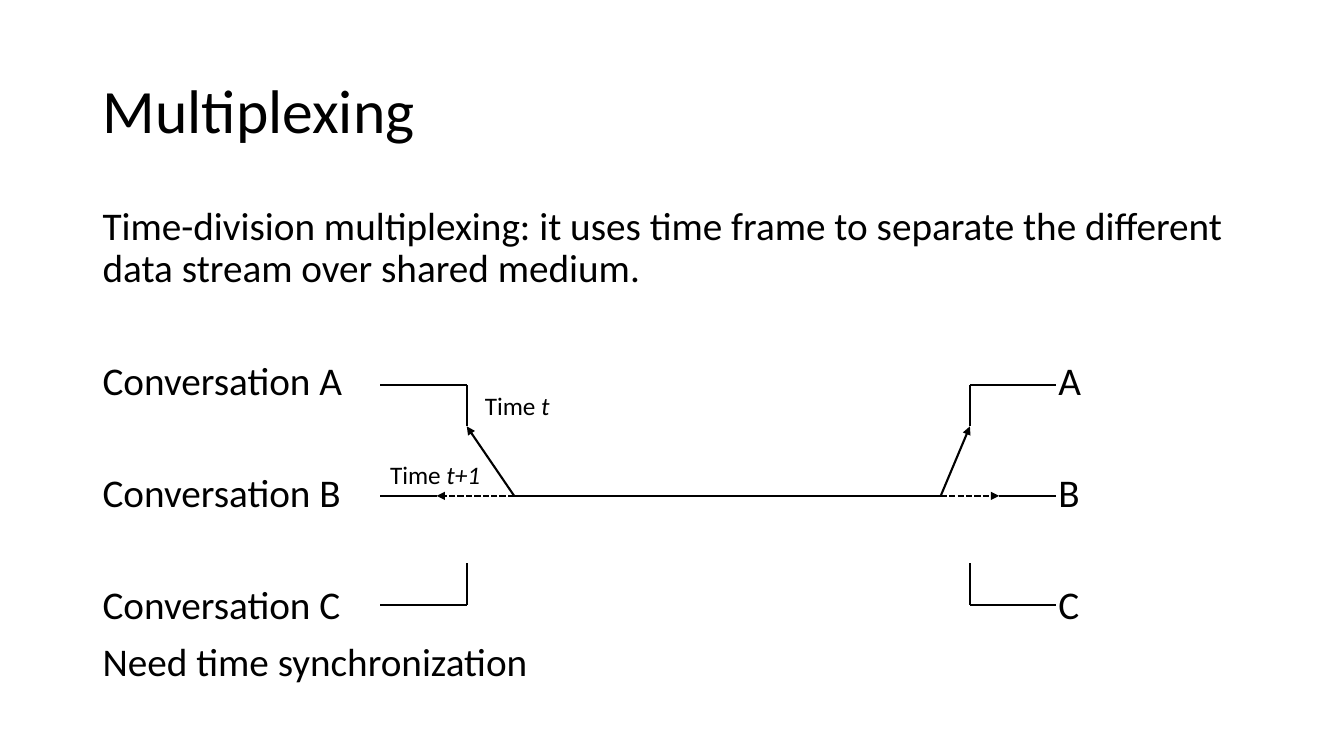
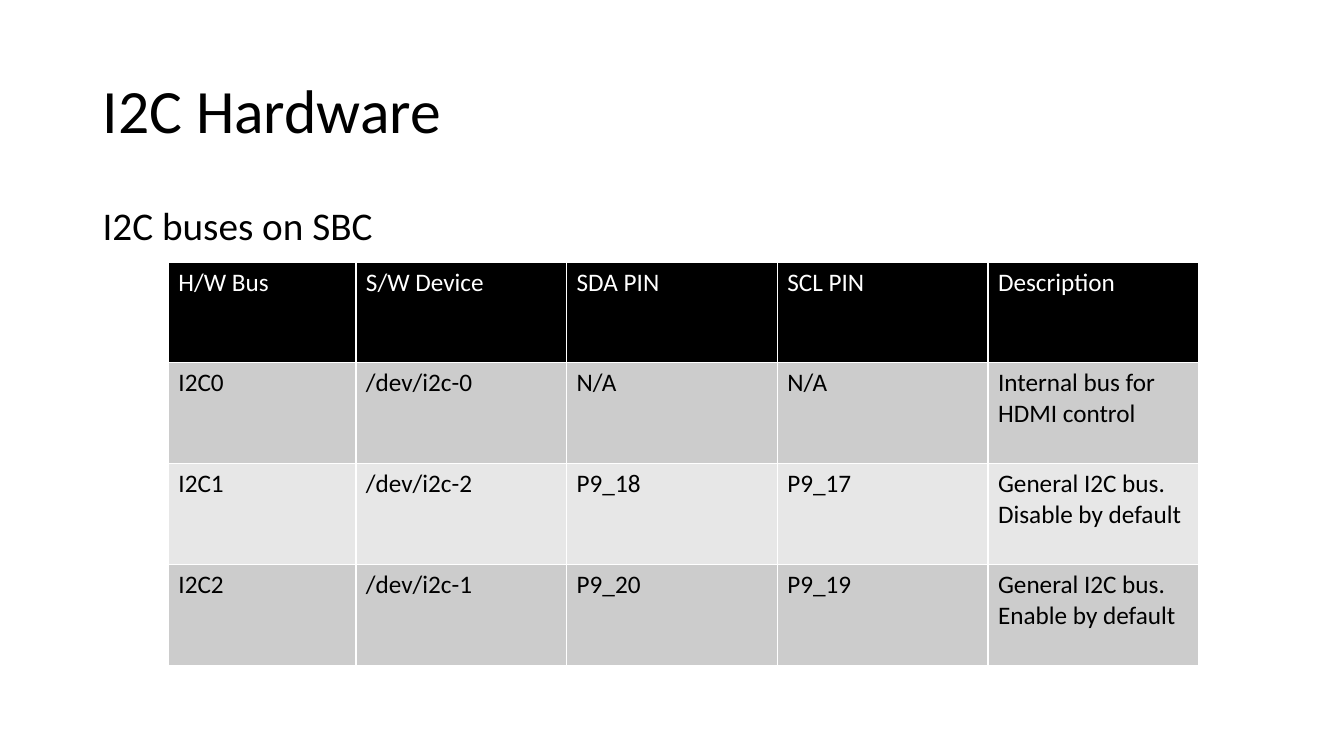
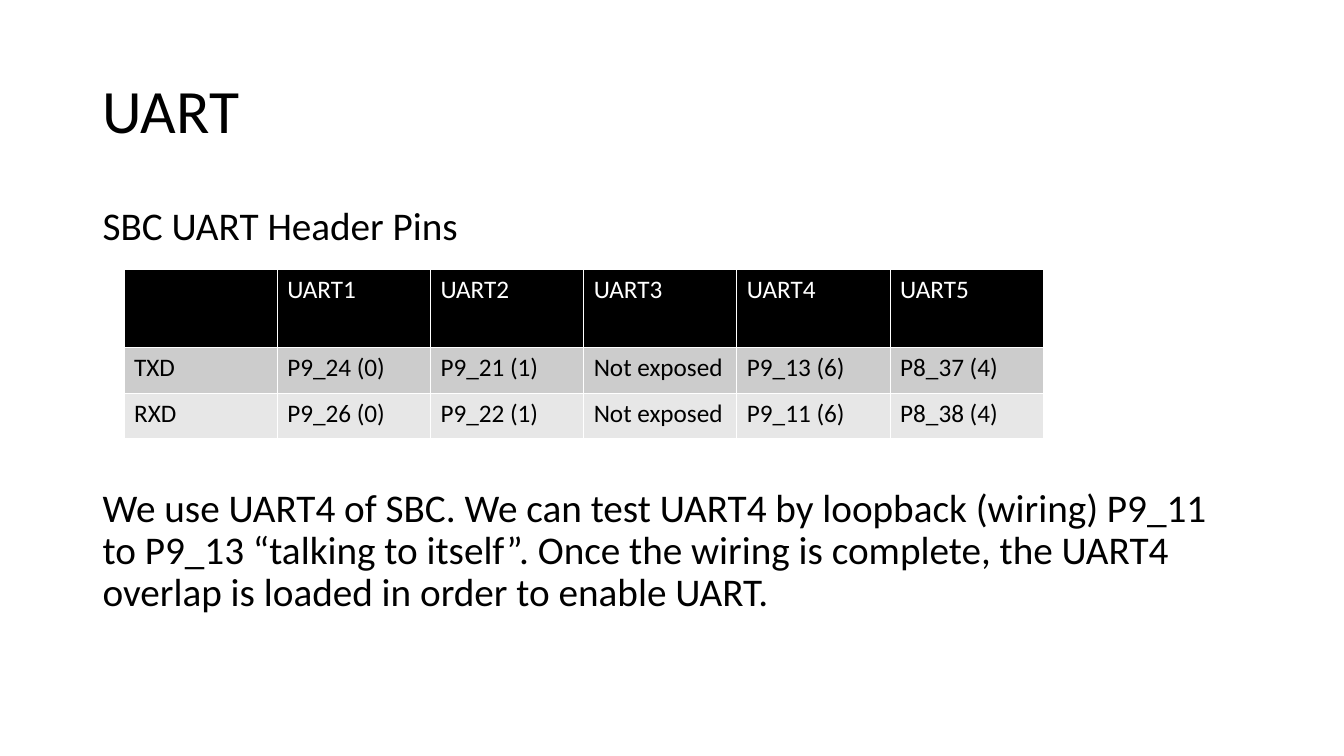
"""Build three slides on multiplexing, I2C hardware and UART pins."""
from lxml.etree import SubElement
from pptx import Presentation
from pptx.dml.color import RGBColor
from pptx.enum.dml import MSO_LINE
from pptx.enum.shapes import MSO_CONNECTOR
from pptx.enum.text import MSO_ANCHOR
from pptx.oxml.ns import qn
from pptx.util import Inches, Pt

FONT = "Calibri"
BLACK, WHITE = "000000", "FFFFFF"
BAND_FILLS = ["CCCCCC", "E7E7E7"]
TITLE_BOX = (0.92, 0.4, 11.5, 1.45)
BODY_BOX = (0.92, 2, 11.5, 4.76)
RECEIVER_TAB = 9.48

MULTIPLEXING_BODY = [
    ("Time-division multiplexing: it uses time frame to separate the different "
     "data stream over shared medium.", 0),
    ("Conversation A\tA", 50),
    ("Conversation B\tB", 50),
    ("Conversation C\tC", 50),
    ("Need time synchronization", 10),
]
TIME_LABELS = [("t", (4.71, 3.82, 0.94, 0.4)), ("t+1", (3.77, 4.51, 1.22, 0.4))]
ROW_A, ROW_B, ROW_C = 3.82, 4.92, 6
STUB = 0.41
SWITCHES = [
    {"outer": 3.77, "contact": 4.33, "corner": 4.63, "hub": 5.1},
    {"outer": 10.47, "contact": 9.91, "corner": 9.62, "hub": 9.33},
]

I2C_BODY = [("I2C buses on SBC", 0)]
I2C_ROWS = [
    ["H/W Bus", "S/W Device", "SDA PIN", "SCL PIN", "Description"],
    ["I2C0", "/dev/i2c-0", "N/A", "N/A", "Internal bus for HDMI control"],
    ["I2C1", "/dev/i2c-2", "P9_18", "P9_17", "General I2C bus.\nDisable by default"],
    ["I2C2", "/dev/i2c-1", "P9_20", "P9_19", "General I2C bus.\nEnable by default"],
]

UART_BODY = [
    ("SBC UART Header Pins", 0),
    ("We use UART4 of SBC. We can test UART4 by loopback (wiring) P9_11 to P9_13 "
     "“talking to itself”. Once the wiring is complete, the UART4 overlap is "
     "loaded in order to enable UART.", 171),
]
UART_ROWS = [
    ["", "UART1", "UART2", "UART3", "UART4", "UART5"],
    ["TXD", "P9_24 (0)", "P9_21 (1)", "Not exposed", "P9_13 (6)", "P8_37 (4)"],
    ["RXD", "P9_26 (0)", "P9_22 (1)", "Not exposed", "P9_11 (6)", "P8_38 (4)"],
]


def color(value):
    return RGBColor.from_string(value)


def style(paragraph, size, value=BLACK):
    paragraph.font.name = FONT
    paragraph.font.size = Pt(size)
    paragraph.font.color.rgb = color(value)


def add_text_frame(slide, box):
    text_frame = slide.shapes.add_textbox(*map(Inches, box)).text_frame
    text_frame.word_wrap = True
    return text_frame


def add_tab(paragraph, position):
    tabs = SubElement(paragraph._p.get_or_add_pPr(), qn("a:tabLst"))
    SubElement(tabs, qn("a:tab"), pos=str(Inches(position)), algn="l")


def add_slide(presentation, title, body):
    slide = presentation.slides.add_slide(presentation.slide_layouts[6])
    title_frame = add_text_frame(slide, TITLE_BOX)
    title_frame.vertical_anchor = MSO_ANCHOR.MIDDLE
    heading = title_frame.paragraphs[0]
    heading.text = title
    heading.line_spacing = 0.9
    style(heading, 44)

    body_frame = add_text_frame(slide, BODY_BOX)
    for index, (text, space) in enumerate(body):
        paragraph = body_frame.add_paragraph() if index else body_frame.paragraphs[0]
        paragraph.text = text
        paragraph.line_spacing = 0.9
        paragraph.space_before = Pt(space)
        if "\t" in text:
            add_tab(paragraph, RECEIVER_TAB)
        style(paragraph, 28)
    return slide


def add_line(slide, start, end, arrow=False, dashed=False):
    connector = slide.shapes.add_connector(
        MSO_CONNECTOR.STRAIGHT, *map(Inches, (*start, *end)))
    connector.line.color.rgb = color(BLACK)
    connector.line.width = Pt(1.5)
    if dashed:
        connector.line.dash_style = MSO_LINE.SQUARE_DOT
    if arrow:
        SubElement(connector.line._get_or_add_ln(), qn("a:tailEnd"), type="triangle")
    SubElement(connector._element.spPr, qn("a:effectLst"))


def add_switch(slide, outer, contact, corner, hub):
    for row, stub_end in ((ROW_A, ROW_A + STUB), (ROW_C, ROW_C - STUB)):
        add_line(slide, (outer, row), (corner, row))
        add_line(slide, (corner, row), (corner, stub_end))
    add_line(slide, (outer, ROW_B), (contact, ROW_B))
    add_line(slide, (hub, ROW_B), (corner, ROW_A + STUB), arrow=True)
    add_line(slide, (hub, ROW_B), (contact, ROW_B), arrow=True, dashed=True)


def add_time_label(slide, time, box):
    paragraph = add_text_frame(slide, box).paragraphs[0]
    style(paragraph, 18)
    paragraph.add_run().text = "Time "
    run = paragraph.add_run()
    run.text = time
    run.font.italic = True


def add_borders(cell):
    properties = cell._tc.get_or_add_tcPr()
    for side in "LRTB":
        line = SubElement(properties, qn(f"a:ln{side}"), w=str(Pt(1)))
        fill = SubElement(line, qn("a:solidFill"))
        SubElement(fill, qn("a:srgbClr"), val=WHITE)


def add_grid(slide, left, top, widths, heights, rows):
    table = slide.shapes.add_table(
        len(rows), len(widths), Inches(left), Inches(top),
        Inches(sum(widths)), Inches(sum(heights))).table
    for column, width in zip(table.columns, widths):
        column.width = Inches(width)
    for row_index, (values, height) in enumerate(zip(rows, heights)):
        table.rows[row_index].height = Inches(height)
        fill = BAND_FILLS[(row_index - 1) % 2] if row_index else BLACK
        for column_index, value in enumerate(values):
            cell = table.cell(row_index, column_index)
            add_borders(cell)
            cell.fill.solid()
            cell.fill.fore_color.rgb = color(fill)
            cell.text = value
            for paragraph in cell.text_frame.paragraphs:
                style(paragraph, 18, BLACK if row_index else WHITE)
                paragraph.font.bold = False


def main():
    presentation = Presentation()
    presentation.slide_width = Inches(13.33)
    presentation.slide_height = Inches(7.5)

    multiplexing = add_slide(presentation, "Multiplexing", MULTIPLEXING_BODY)
    for switch in SWITCHES:
        add_switch(multiplexing, **switch)
    add_line(multiplexing, *((switch["hub"], ROW_B) for switch in SWITCHES))
    for time, box in TIME_LABELS:
        add_time_label(multiplexing, time, box)

    hardware = add_slide(presentation, "I2C Hardware", I2C_BODY)
    add_grid(hardware, 1.67, 2.6, [1.86] + [2.09] * 4, [1] * 4, I2C_ROWS)

    uart = add_slide(presentation, "UART", UART_BODY)
    add_grid(uart, 1.23, 2.67, [1.52] * 6, [0.78, 0.45, 0.45], UART_ROWS)

    presentation.save("out.pptx")


if __name__ == "__main__":
    main()
